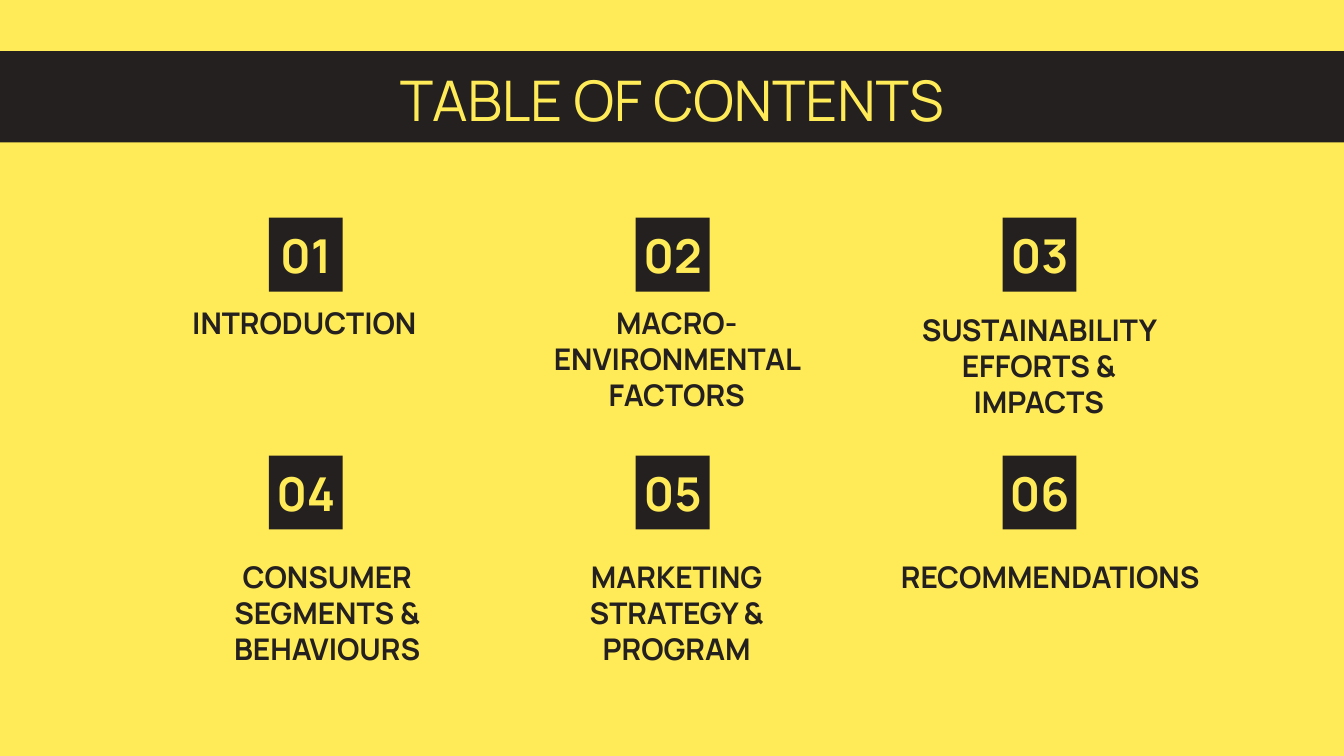
from pptx import Presentation
from pptx.dml.color import RGBColor
from pptx.enum.shapes import MSO_SHAPE
from pptx.enum.text import MSO_ANCHOR, PP_ALIGN
from pptx.util import Inches, Pt

RECTANGLE = MSO_SHAPE.RECTANGLE
TOP, MIDDLE = MSO_ANCHOR.TOP, MSO_ANCHOR.MIDDLE
CENTER = PP_ALIGN.CENTER

COLORS = {"yellow": "FFEB57", "black": "242020"}
FONT = "Manrope"
SLIDE_WIDTH = 10
SLIDE_HEIGHT = SLIDE_WIDTH * 9 / 16

COLUMNS = 3
FIRST_LEFT, FIRST_TOP = 2, 1.62
COLUMN_STEP, ROW_STEP = 2.73, 1.77
SQUARE = 0.55
NUMBER_WIDTH, NUMBER_HEIGHT = 0.81, 0.49

# Heading, then left, top, width and height of its box
SECTIONS = [
    ("INTRODUCTION", 1.31, 2.17, 1.91, 0.34),
    ("MACRO- ENVIRONMENTAL FACTORS", 3.79, 2.17, 2.49, 0.9),
    ("SUSTAINABILITY EFFORTS & IMPACTS", 6.71, 2.22, 2.04, 0.68),
    ("CONSUMER SEGMENTS & BEHAVIOURS", 1.48, 4.06, 1.91, 1.23),
    ("MARKETING STRATEGY & PROGRAM", 4.15, 4.06, 1.77, 0.34),
    ("RECOMMENDATIONS", 6.55, 4.06, 2.53, 0.34),
]


class ContentsSlide:
    def __init__(self, slide):
        self.slide = slide
        background = slide.background.fill
        background.solid()
        background.fore_color.rgb = self.color("yellow")

    def color(self, name):
        return RGBColor.from_string(COLORS[name])

    def block(self, left, top, width, height):
        block = self.slide.shapes.add_shape(
            RECTANGLE, Inches(left), Inches(top), Inches(width), Inches(height))
        block.shadow.inherit = False
        block.fill.solid()
        block.fill.fore_color.rgb = self.color("black")
        block.line.fill.background()

    def text(self, words, left, top, width, height, size, color,
             bold=True, anchor=TOP):
        box = self.slide.shapes.add_textbox(
            Inches(left), Inches(top), Inches(width), Inches(height))
        frame = box.text_frame
        frame.word_wrap = True
        frame.vertical_anchor = anchor
        frame.margin_left = frame.margin_right = Inches(0.1)
        frame.margin_top = frame.margin_bottom = Inches(0.1)
        paragraph = frame.paragraphs[0]
        paragraph.text = words
        paragraph.alignment = CENTER
        font = paragraph.font
        font.name = FONT
        font.size = Pt(size)
        font.bold = bold
        font.color.rgb = self.color(color)

    def number(self, value, left, top):
        """Draw a square with a two-digit number centred on it."""
        self.block(left, top, SQUARE, SQUARE)
        self.text(f"{value:02}",
                  left + (SQUARE - NUMBER_WIDTH) / 2,
                  top + (SQUARE - NUMBER_HEIGHT) / 2,
                  NUMBER_WIDTH, NUMBER_HEIGHT, 25, "yellow", anchor=MIDDLE)


def main():
    deck = Presentation()
    deck.slide_width = Inches(SLIDE_WIDTH)
    deck.slide_height = Inches(SLIDE_HEIGHT)
    contents = ContentsSlide(deck.slides.add_slide(deck.slide_layouts[6]))

    contents.block(0, 0.38, SLIDE_WIDTH, 0.68)
    contents.text("TABLE OF CONTENTS", 0.77, 0.39, 8.46, 0.55, 30, "yellow",
                  bold=False)

    for index, (heading, *place) in enumerate(SECTIONS):
        row, column = divmod(index, COLUMNS)
        contents.number(index + 1,
                        FIRST_LEFT + column * COLUMN_STEP,
                        FIRST_TOP + row * ROW_STEP)
        contents.text(heading, *place, 16, "black")

    deck.save("out.pptx")


if __name__ == "__main__":
    main()
